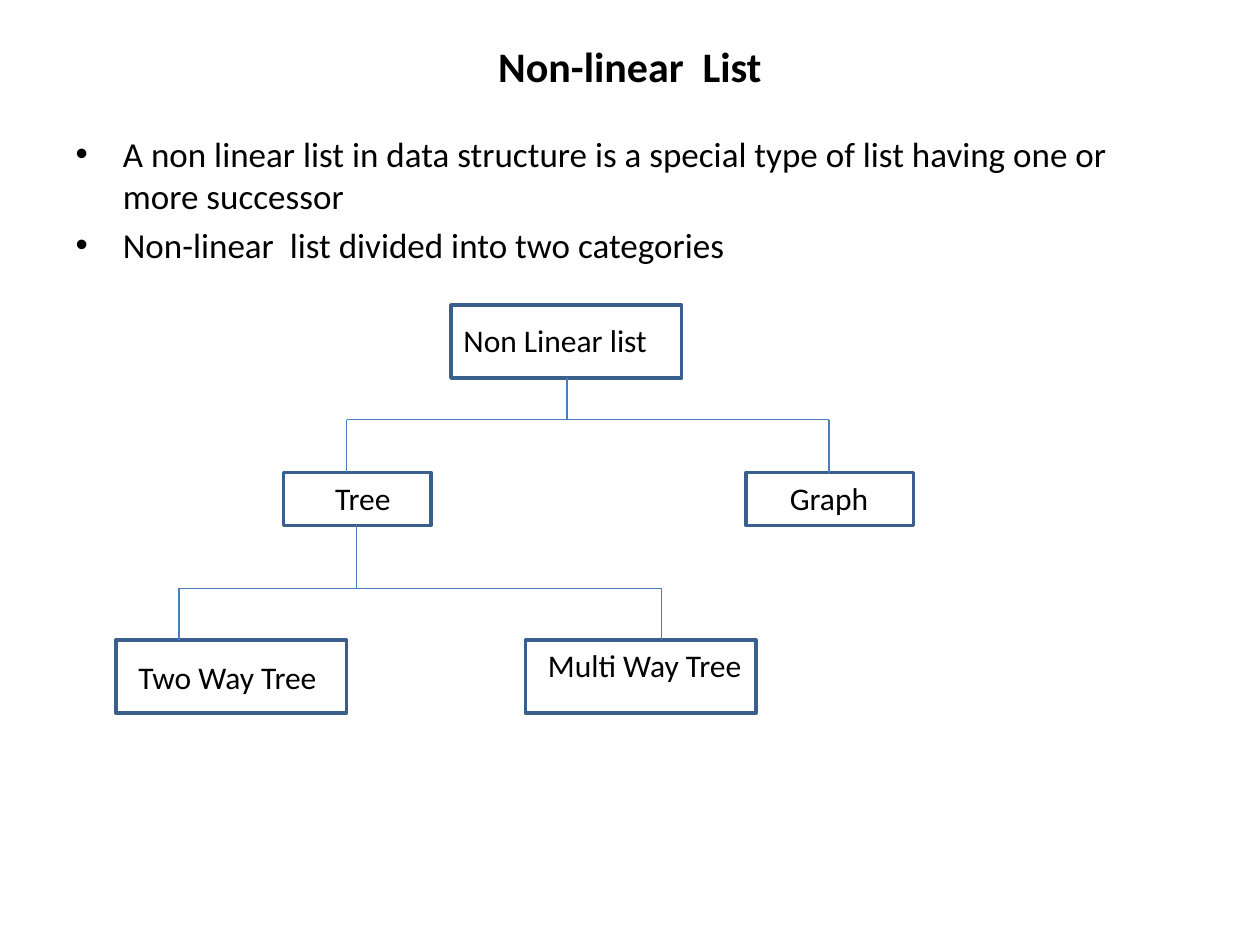
from pptx import Presentation
from pptx.dml.color import RGBColor
from pptx.enum.shapes import MSO_CONNECTOR as CONN, MSO_SHAPE as SHAPE
from pptx.enum.text import MSO_ANCHOR as ANCHOR, PP_ALIGN as ALIGN
from pptx.oxml.ns import qn
from pptx.util import Inches, Pt
from lxml.etree import SubElement

BLACK = RGBColor(0, 0, 0)
BOX_LINE = RGBColor(0x3A, 0x5F, 0x8C)
LINK_LINE = RGBColor(0x4B, 0x7E, 0xBC)

TITLE = "Non-linear  List"
BULLETS = [
    "A non linear list in data structure is a special type of list "
    "having one or more successor",
    "Non-linear  list divided into two categories",
]
# Label, box (left, top, width, height), label (left, top, width), alignment
NODES = [
    ("Non Linear list", (3.58, 2.42, 1.83, 0.58), (3.58, 2.5, 1.92), ALIGN.LEFT),
    ("Tree", (2.25, 3.75, 1.17, 0.42), (2.42, 3.75, 0.92), ALIGN.CENTER),
    ("Graph", (5.92, 3.75, 1.33, 0.42), (6.17, 3.75, 0.83), ALIGN.LEFT),
    ("Two Way Tree", (0.92, 5.08, 1.83, 0.58), (1, 5.17, 1.92), ALIGN.LEFT),
    ("Multi Way Tree", (4.17, 5.08, 1.83, 0.58), (4.25, 5.08, 1.92), ALIGN.LEFT),
]
# Stem x, left and right branch x, then parent, bar and child y
FORKS = [
    (4.5, 2.75, 6.58, 3, 3.33, 3.75),
    (2.83, 1.42, 5.25, 4.17, 4.67, 5.08),
]


def place(sp, *box):
    sp.left, sp.top, sp.width, sp.height = map(Inches, box)


def write(p, text, size, bold=False):
    r = p.add_run()
    r.text = text
    for name, value in dict(name="Calibri", size=Pt(size), bold=bold).items():
        setattr(r.font, name, value)
    r.font.color.rgb = BLACK


def add_title(s):
    sp = s.shapes.title
    place(sp, 0.5, 0.3, 9, 0.45)
    tf = sp.text_frame
    tf.vertical_anchor = ANCHOR.MIDDLE
    tf.paragraphs[0].alignment = ALIGN.CENTER
    write(tf.paragraphs[0], TITLE, 24, bold=True)


def add_bullets(s):
    sp = s.placeholders[1]
    place(sp, 0.5, 1, 8.83, 5.7)
    tf = sp.text_frame
    for i, text in enumerate(BULLETS):
        write(tf.add_paragraph() if i else tf.paragraphs[0], text, 20)


def add_node(s, text, box, label, align):
    sp = s.shapes.add_shape(SHAPE.RECTANGLE, *map(Inches, box))
    sp.shadow.inherit = False
    sp.fill.background()
    sp.line.color.rgb = BOX_LINE
    sp.line.width = Pt(2)
    tb = s.shapes.add_textbox(*map(Inches, (*label, 0.4)))
    tf = tb.text_frame
    tf.word_wrap = True
    tf.paragraphs[0].alignment = align
    write(tf.paragraphs[0], text, 18)


def add_line(s, *ends):
    line = s.shapes.add_connector(CONN.STRAIGHT, *map(Inches, ends))
    line.line.color.rgb = LINK_LINE
    line.line.width = Pt(0.75)
    SubElement(line._element.spPr, qn("a:effectLst"))


def add_fork(s, stem, left, right, top, bar, bottom):
    add_line(s, stem, top, stem, bar)
    add_line(s, left, bar, right, bar)
    for x in (left, right):
        add_line(s, x, bar, x, bottom)


def main():
    prs = Presentation()
    prs.slide_width, prs.slide_height = Inches(10), Inches(7.5)
    s = prs.slides.add_slide(prs.slide_layouts[1])
    # Heading and list
    add_title(s)
    add_bullets(s)
    # Tree diagram
    for node in NODES:
        add_node(s, *node)
    for fork in FORKS:
        add_fork(s, *fork)
    prs.save("out.pptx")


main()
